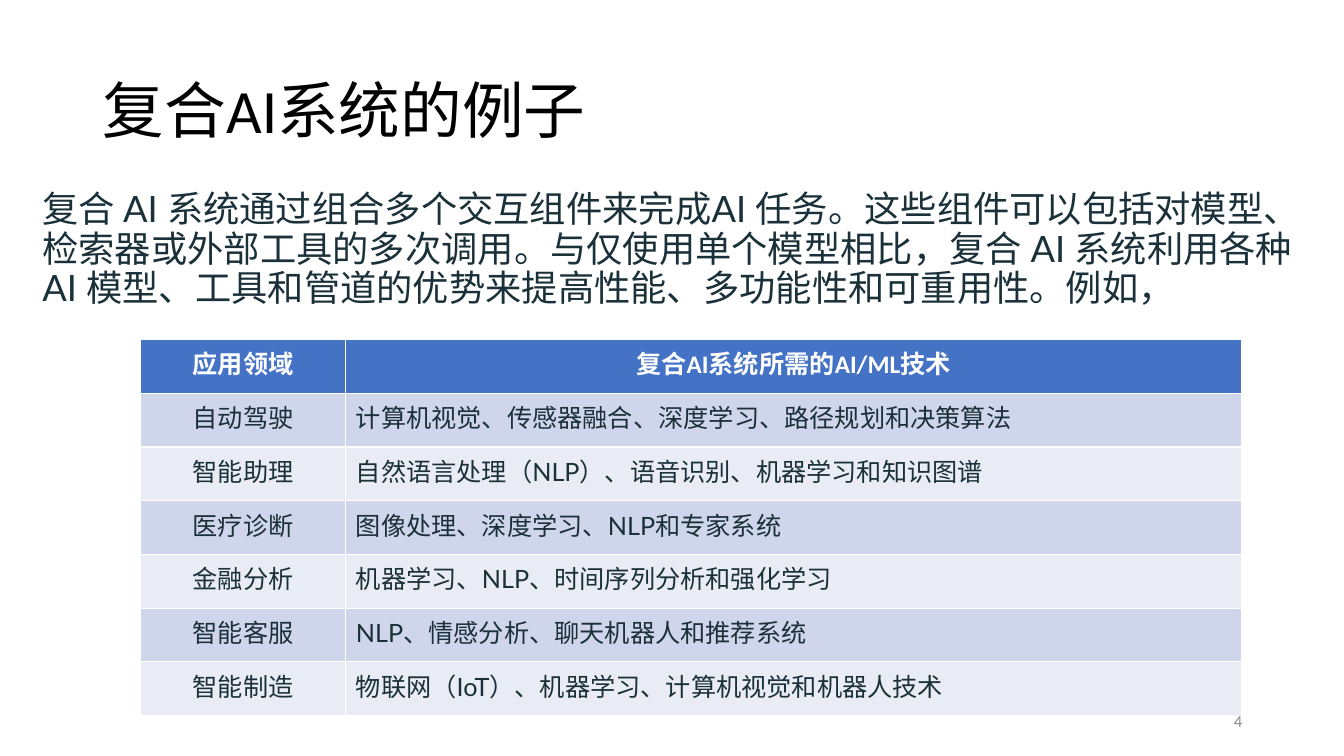
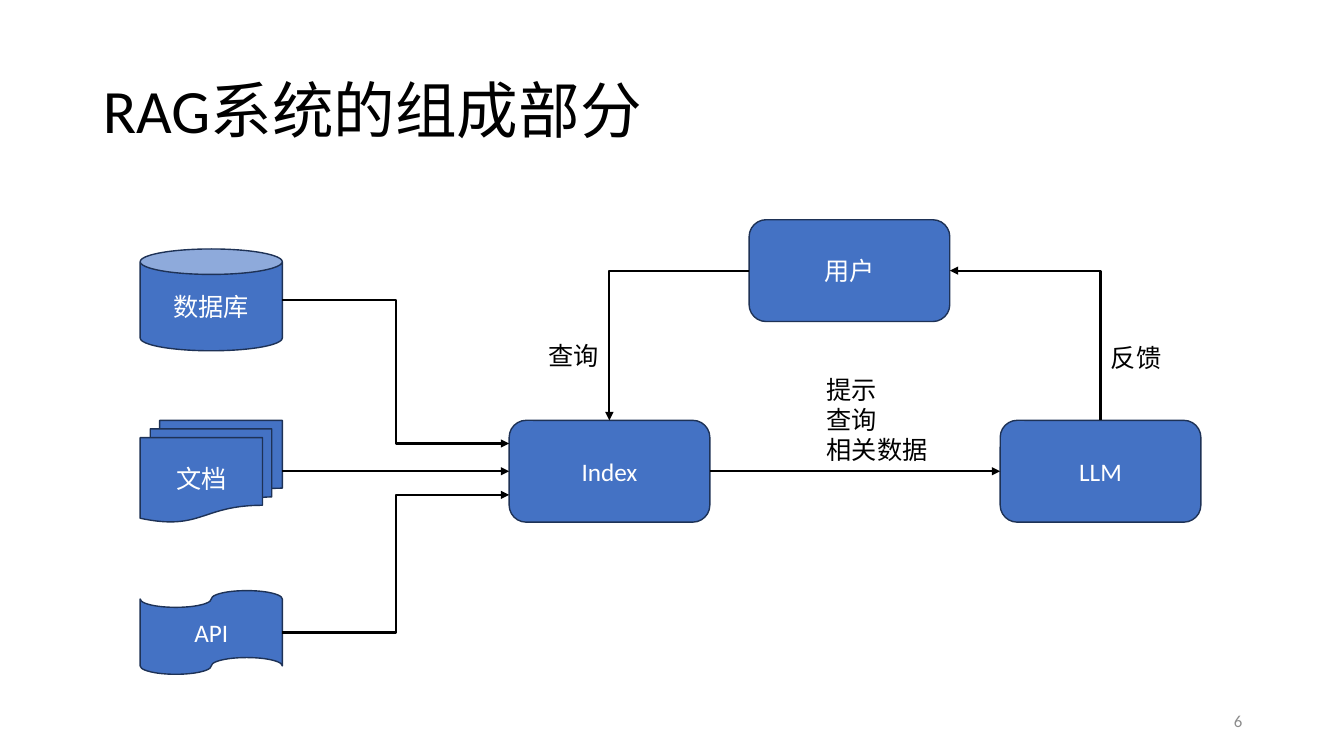
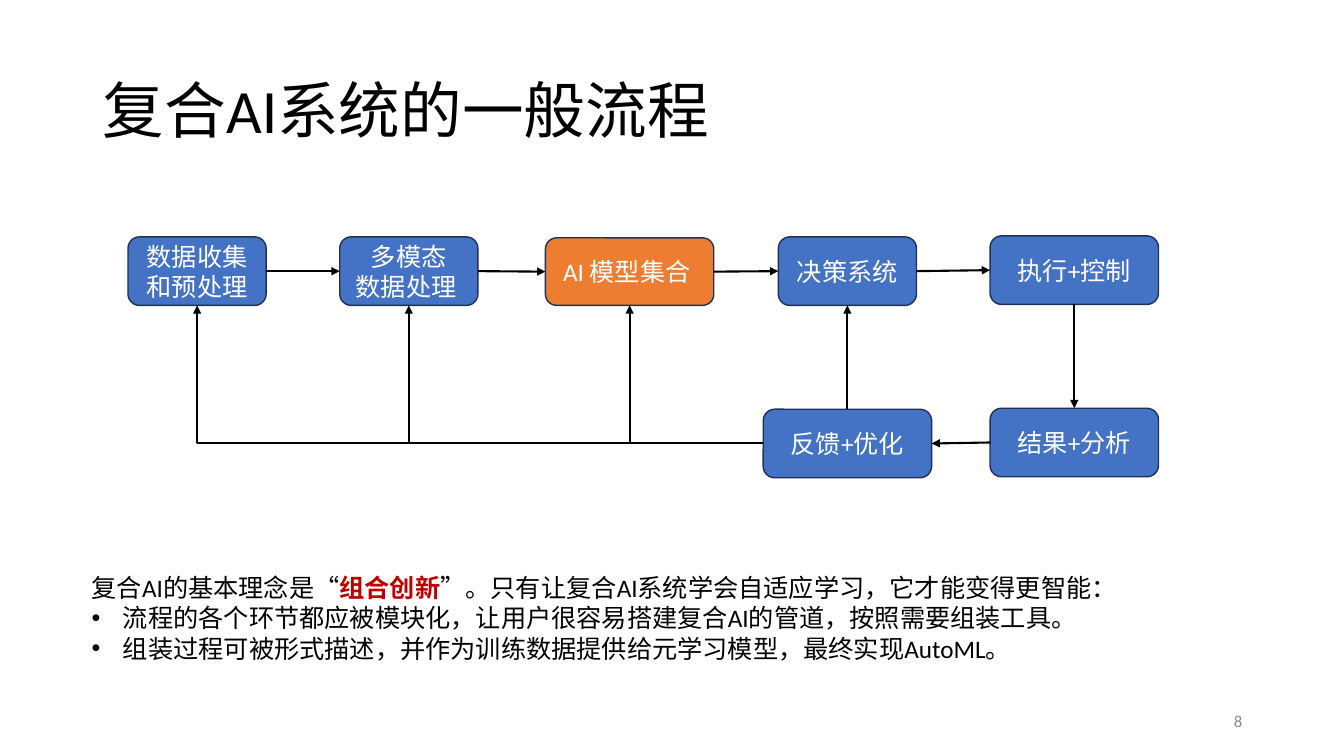
"""Build three slides on compound AI systems: examples, RAG parts and workflow."""
from dataclasses import dataclass

from lxml.etree import SubElement
from pptx import Presentation
from pptx.dml.color import RGBColor
from pptx.enum.shapes import MSO_CONNECTOR, MSO_SHAPE
from pptx.enum.text import MSO_ANCHOR, MSO_AUTO_SIZE, PP_ALIGN
from pptx.oxml.ns import qn
from pptx.shapes.autoshape import Shape
from pptx.shapes.connector import Connector
from pptx.slide import Slide
from pptx.util import Inches, Pt

COLORS = {
    "black": "000000", "white": "FFFFFF", "ink": "1B3139", "gray": "8C8C8C",
    "blue": "4472C4", "outline": "1E3256", "orange": "ED7D31", "red": "C00000",
    "band_dark": "CFD5EA", "band_light": "E9EBF5",
}
TITLE_ONLY, TITLE_BODY = 5, 1
TOP, LEFT, BOTTOM, RIGHT = range(4)
TITLE_BOX = (0.92, 0.4, 11.5, 1.45)
NUMBER_BOX = (9.42, 6.95, 3, 0.4)


@dataclass(frozen=True)
class Node:
    name: str
    text: str
    x: float
    y: float
    w: float
    h: float
    kind: MSO_SHAPE = MSO_SHAPE.ROUNDED_RECTANGLE
    fill: str = "blue"


@dataclass(frozen=True)
class Link:
    start: str
    start_side: int
    end: str
    end_side: int


@dataclass(frozen=True)
class Label:
    text: str
    x: float
    y: float
    w: float
    h: float


ROWS = [
    ("应用领域", "复合AI系统所需的AI/ML技术"),
    ("自动驾驶", "计算机视觉、传感器融合、深度学习、路径规划和决策算法"),
    ("智能助理", "自然语言处理（NLP）、语音识别、机器学习和知识图谱"),
    ("医疗诊断", "图像处理、深度学习、NLP和专家系统"),
    ("金融分析", "机器学习、NLP、时间序列分析和强化学习"),
    ("智能客服", "NLP、情感分析、聊天机器人和推荐系统"),
    ("智能制造", "物联网（IoT）、机器学习、计算机视觉和机器人技术"),
]
INTRO = (
    "复合 AI 系统通过组合多个交互组件来完成AI 任务。这些组件可以包括对模型、检索器或外部工具的多次调用。"
    "与仅使用单个模型相比，复合 AI 系统利用各种 AI 模型、工具和管道的优势来提高性能、多功能性和可重用性。例如，"
)
IDEA = ("复合AI的基本理念是“", "组合创新", "”。只有让复合AI系统学会自适应学习，它才能变得更智能：")
POINTS = [
    "流程的各个环节都应被模块化，让用户很容易搭建复合AI的管道，按照需要组装工具。",
    "组装过程可被形式描述，并作为训练数据提供给元学习模型，最终实现AutoML。",
]
RAG_NODES = [
    Node("database", "数据库", 1.39, 2.47, 1.41, 1.01, MSO_SHAPE.CAN),
    Node("documents", "文档", 1.39, 4.17, 1.41, 1.01, MSO_SHAPE.FLOWCHART_MULTIDOCUMENT),
    Node("api", "API", 1.39, 5.86, 1.41, 0.83, MSO_SHAPE.FLOWCHART_PUNCHED_TAPE),
    Node("index", "Index", 5.05, 4.17, 1.99, 1.01),
    Node("llm", "LLM", 9.92, 4.17, 1.99, 1.01),
    Node("user", "用户", 7.43, 2.18, 1.99, 1.01),
]
RAG_LINKS = [Link("documents", RIGHT, "index", LEFT), Link("index", RIGHT, "llm", LEFT)]
RAG_LABELS = [
    Label("查询", 5.34, 3.33, 0.71, 0.4),
    Label("反馈", 10.92, 3.35, 0.71, 0.4),
    Label("提示\n查询\n相关数据", 8.1, 3.66, 1.21, 1.01),
]
FLOW_NODES = [
    Node("collect", "数据收集和预处理", 1.27, 2.35, 1.37, 0.68),
    Node("multimodal", "多模态\n数据处理 ", 3.37, 2.35, 1.37, 0.68),
    Node("models", "AI 模型集合 ", 5.41, 2.36, 1.67, 0.67, fill="orange"),
    Node("decide", "决策系统", 7.72, 2.35, 1.37, 0.68),
    Node("act", "执行+控制", 9.82, 2.34, 1.67, 0.68),
    Node("result", "结果+分析", 9.82, 4.05, 1.67, 0.68),
    Node("feedback", "反馈+优化", 7.57, 4.06, 1.67, 0.68),
]
FLOW_LINKS = [
    Link("collect", RIGHT, "multimodal", LEFT),
    Link("multimodal", RIGHT, "models", LEFT),
    Link("models", RIGHT, "decide", LEFT),
    Link("decide", RIGHT, "act", LEFT),
    Link("act", BOTTOM, "result", TOP),
    Link("result", LEFT, "feedback", RIGHT),
    Link("feedback", TOP, "decide", BOTTOM),
]


def rgb(name: str) -> RGBColor:
    return RGBColor.from_string(COLORS[name])


def place(sp: Shape, x: float, y: float, w: float, h: float) -> None:
    sp.left, sp.top, sp.width, sp.height = map(Inches, (x, y, w, h))


def style(tf, size: float, color: str, font: str = "Calibri",
          align: PP_ALIGN = PP_ALIGN.LEFT, bold: bool = False) -> None:
    for p in tf.paragraphs:
        p.alignment = align
        for r in p.runs:
            r.font.size, r.font.name, r.font.bold = Pt(size), font, bold
            r.font.color.rgb = rgb(color)


def set_indent(p, inches: float, bullet: bool) -> None:
    pPr = p._p.get_or_add_pPr()
    pPr.set("marL", str(Inches(inches)))
    pPr.set("indent", str(-Inches(inches)))
    if not bullet:
        SubElement(pPr, qn("a:buNone"))


def add_text(s: Slide, label: Label, size: float = 18, color: str = "black",
             align: PP_ALIGN = PP_ALIGN.LEFT, wrap: bool = False) -> Shape:
    sp = s.shapes.add_textbox(*map(Inches, (label.x, label.y, label.w, label.h)))
    tf = sp.text_frame
    tf.text, tf.word_wrap = label.text, wrap
    style(tf, size, color, align=align)
    return sp


def add_slide(prs: Presentation, layout: int, title: str, number: int) -> Slide:
    s = prs.slides.add_slide(prs.slide_layouts[layout])
    tf = s.shapes.title.text_frame
    tf.text, tf.auto_size = title, MSO_AUTO_SIZE.NONE
    tf.paragraphs[0].line_spacing = 0.9
    style(tf, 44, "black")
    sp = add_text(s, Label(str(number), *NUMBER_BOX), 12, "gray", PP_ALIGN.RIGHT, True)
    sp.text_frame.vertical_anchor = MSO_ANCHOR.MIDDLE
    return s


def add_node(s: Slide, node: Node) -> Shape:
    sp = s.shapes.add_shape(node.kind, *map(Inches, (node.x, node.y, node.w, node.h)))
    sp.shadow.inherit = False
    sp.fill.solid()
    sp.fill.fore_color.rgb = rgb(node.fill)
    sp.line.color.rgb, sp.line.width = rgb("outline"), Pt(1)
    tf = sp.text_frame
    tf.text, tf.word_wrap = node.text, True
    tf.vertical_anchor = MSO_ANCHOR.MIDDLE
    style(tf, 18, "white", align=PP_ALIGN.CENTER)
    return sp


def side_point(sp: Shape, side: int) -> tuple[int, int]:
    cx, cy = sp.left + sp.width // 2, sp.top + sp.height // 2
    return {TOP: (cx, sp.top), LEFT: (sp.left, cy),
            BOTTOM: (cx, sp.top + sp.height), RIGHT: (sp.left + sp.width, cy)}[side]


def add_arrow(s: Slide, start: tuple[int, int], end: tuple[int, int],
              kind: MSO_CONNECTOR = MSO_CONNECTOR.STRAIGHT, arrow_end: str = "tailEnd") -> Connector:
    c = s.shapes.add_connector(kind, *start, *end)
    c.line.color.rgb, c.line.width = rgb("black"), Pt(1.5)
    spPr = c._element.spPr
    SubElement(spPr.find(qn("a:ln")), qn(f"a:{arrow_end}"), type="triangle")
    SubElement(spPr, qn("a:effectLst"))
    return c


def add_corner(s: Slide, start: tuple[int, int], end: tuple[int, int],
               arrow_end: str = "tailEnd") -> None:
    c = add_arrow(s, start, end, MSO_CONNECTOR.ELBOW, arrow_end)
    c._element.spPr.find(qn("a:prstGeom")).set("prst", "bentConnector2")


def add_diagram(s: Slide, nodes: list[Node], links: list[Link]) -> dict[str, Shape]:
    shapes = {node.name: add_node(s, node) for node in nodes}
    for link in links:
        a, b = shapes[link.start], shapes[link.end]
        c = add_arrow(s, side_point(a, link.start_side), side_point(b, link.end_side))
        c.begin_connect(a, link.start_side)
        c.end_connect(b, link.end_side)
    return shapes


def build_examples(prs: Presentation) -> None:
    s = add_slide(prs, TITLE_BODY, "复合AI系统的例子", 4)
    body = s.placeholders[1]
    place(body, 0.32, 1.85, 12.9, 1.29)
    tf = body.text_frame
    tf.text, tf.auto_size = INTRO, MSO_AUTO_SIZE.NONE
    p = tf.paragraphs[0]
    p.line_spacing, p.space_before = 0.9, Pt(10)
    set_indent(p, 0, False)
    style(tf, 25.9, "ink", "Lato")
    table = s.shapes.add_table(len(ROWS), 2, *map(Inches, (1.39, 3.37, 10.92, 3.73))).table
    table.columns[0].width, table.columns[1].width = Inches(2.04), Inches(8.88)
    for i, row in enumerate(ROWS):
        header = i == 0
        fill = "blue" if header else "band_dark" if i % 2 else "band_light"
        for j, text in enumerate(row):
            cell = table.cell(i, j)
            cell.text = text
            cell.fill.solid()
            cell.fill.fore_color.rgb = rgb(fill)
            align = PP_ALIGN.CENTER if header or j == 0 else PP_ALIGN.LEFT
            style(cell.text_frame, 18, "white" if header else "ink",
                  "Calibri" if header else "Lato", align, header)


def build_rag(prs: Presentation) -> None:
    s = add_slide(prs, TITLE_ONLY, "RAG系统的组成部分", 6)
    shapes = add_diagram(s, RAG_NODES, RAG_LINKS)
    index, user = shapes["index"], shapes["user"]
    for name, y in (("database", 4.4), ("api", 4.91)):
        add_arrow(s, side_point(shapes[name], RIGHT), (index.left, Inches(y)), MSO_CONNECTOR.ELBOW)
    add_corner(s, side_point(user, LEFT), side_point(index, TOP))
    add_corner(s, side_point(user, RIGHT), side_point(shapes["llm"], TOP), "headEnd")
    for label in RAG_LABELS:
        add_text(s, label)


def build_workflow(prs: Presentation) -> None:
    s = add_slide(prs, TITLE_BODY, "复合AI系统的一般流程", 8)
    shapes = add_diagram(s, FLOW_NODES, FLOW_LINKS)
    feedback = side_point(shapes["feedback"], LEFT)
    add_corner(s, feedback, side_point(shapes["collect"], BOTTOM))
    for name in ("multimodal", "models"):
        x, y = side_point(shapes[name], BOTTOM)
        add_arrow(s, (x, feedback[1]), (x, y))
    body = s.placeholders[1]
    place(body, 0.81, 5.63, 10.25, 1.3)
    tf = body.text_frame
    tf.auto_size = MSO_AUTO_SIZE.NONE
    for text in IDEA:
        tf.paragraphs[0].add_run().text = text
    for text in POINTS:
        tf.add_paragraph().text = text
    for i, p in enumerate(tf.paragraphs):
        p.space_before = Pt(0)
        set_indent(p, 0.31 if i else 0, i > 0)
    style(tf, 18, "black")
    r = tf.paragraphs[0].runs[1]
    r.font.bold, r.font.color.rgb = True, rgb("red")


def main() -> None:
    prs = Presentation()
    prs.slide_width, prs.slide_height = Inches(13.33), Inches(7.5)
    place(prs.slide_master.placeholders[0], *TITLE_BOX)
    build_examples(prs)
    build_rag(prs)
    build_workflow(prs)
    prs.save("out.pptx")


if __name__ == "__main__":
    main()
